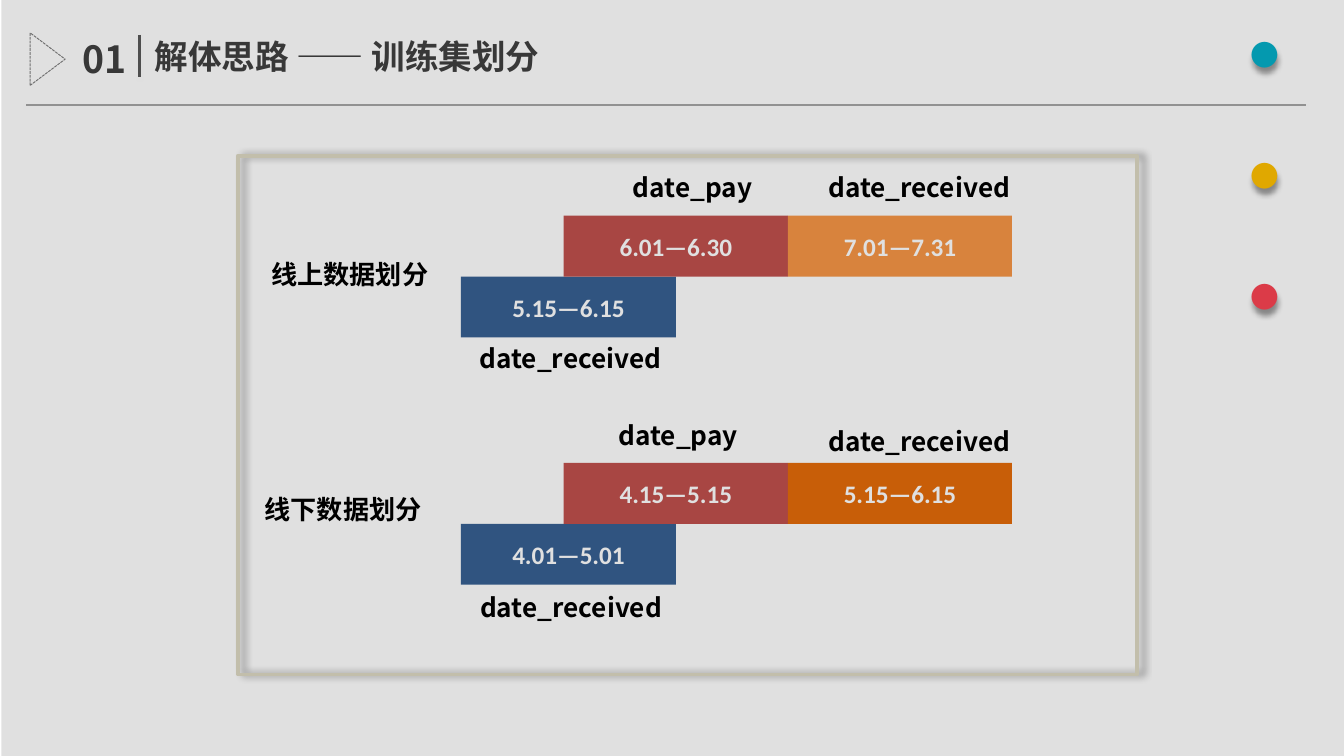
"""Build the slide that shows how the training data is split by date."""
from dataclasses import dataclass
from typing import Any, NamedTuple

from lxml.etree import SubElement
from pptx import Presentation
from pptx.dml.color import RGBColor
from pptx.enum.dml import MSO_LINE
from pptx.enum.shapes import MSO_CONNECTOR, MSO_SHAPE
from pptx.enum.text import MSO_ANCHOR, MSO_AUTO_SIZE, PP_ALIGN
from pptx.oxml.ns import qn
from pptx.util import Inches, Pt

COLS, ROWS = 100, 56.25
CELL = Inches(10) / COLS


@dataclass(frozen=True)
class Theme:
    sans: str = "Noto Sans CJK SC"
    latin: str = "Calibri"
    black: str = "000000"
    white: str = "FFFFFF"
    ink: str = "404040"
    rule: str = "A6A6A6"
    bar: str = "595959"
    edge: str = "808080"
    frame: str = "DDD9C3"
    blue: str = "376092"
    red: str = "C0504D"
    light: str = "F79646"
    deep: str = "E46C0A"
    dots: tuple[str, ...] = ("05AFC8", "FFC000", "FA4453")
    head: float = 18
    number: float = 20
    label: float = 14
    span: float = 13.5
    dot: float = 54


class Box(NamedTuple):
    col: float
    row: float
    wide: float
    high: float


class Run(NamedTuple):
    text: str
    size: float
    color: str
    font: str


class Label(NamedTuple):
    text: str
    col: float
    row: float


class Bar(NamedTuple):
    text: str
    color: str


@dataclass(frozen=True)
class Split:
    top: float
    bars: tuple[Bar, Bar, Bar]
    labels: tuple[Label, ...]


THEME = Theme()
SLOTS = (Box(34.3, 4.53, 16, 4.53), Box(41.94, 0, 16.68, 4.53), Box(58.62, 0, 16.68, 4.53))
SPLITS = (
    Split(16.05,
          (Bar("5.15—6.15", THEME.blue), Bar("6.01—6.30", THEME.red),
           Bar("7.01—7.31", THEME.light)),
          (Label("线上数据划分", 19.2, 2.65), Label("date_pay", 46.1, -3.8),
           Label("date_received", 60.64, -3.8), Label("date_received", 34.7, 8.95))),
    Split(34.45,
          (Bar("4.01—5.01", THEME.blue), Bar("4.15—5.15", THEME.red),
           Bar("5.15—6.15", THEME.deep)),
          (Label("线下数据划分", 18.7, 1.75), Label("date_pay", 45.04, -3.75),
           Label("date_received", 60.64, -3.3), Label("date_received", 34.74, 9.05))),
)


def grid(*cells: float) -> list[int]:
    """Turn grid cells into slide lengths."""
    return [round(cell * CELL) for cell in cells]


def cast(shape: Any, color: str, alpha: int, blur: float, gap: float, angle: int) -> None:
    """Give a shape an outer shadow."""
    props = shape.element.spPr
    found = props.find(qn("a:effectLst"))
    effects = SubElement(props, qn("a:effectLst")) if found is None else found
    shade = SubElement(effects, qn("a:outerShdw"), blurRad=str(Pt(blur)),
                       dist=str(Pt(gap)), dir=str(angle * 60000), rotWithShape="0")
    tint = SubElement(shade, qn("a:srgbClr"), val=color)
    SubElement(tint, qn("a:alpha"), val=str(alpha * 1000))


def write(frame: Any, runs: list[Run], align: PP_ALIGN = PP_ALIGN.LEFT) -> None:
    """Put bold runs into the first paragraph of a text frame."""
    frame.word_wrap = True
    line = frame.paragraphs[0]
    line.alignment = align
    for item in runs:
        run = line.add_run()
        run.text = item.text
        run.font.size = Pt(item.size)
        run.font.bold = True
        run.font.name = item.font
        run.font.color.rgb = RGBColor.from_string(item.color)
        SubElement(run.font._element, qn("a:ea"), typeface=item.font)


def add_text(slide: Any, box: Box, runs: list[Run], align: PP_ALIGN = PP_ALIGN.LEFT) -> Any:
    """Add a text box."""
    shape = slide.shapes.add_textbox(*grid(*box))
    write(shape.text_frame, runs, align)
    if align == PP_ALIGN.LEFT:
        shape.text_frame.margin_right = 0
    return shape


def add_block(slide: Any, kind: MSO_SHAPE, box: Box, fill: str = "",
              edge: str = "", width: float = 0) -> Any:
    """Add a plain shape with an optional fill and outline."""
    shape = slide.shapes.add_shape(kind, *grid(*box))
    shape.shadow.inherit = False
    if fill:
        shape.fill.solid()
        shape.fill.fore_color.rgb = RGBColor.from_string(fill)
    else:
        shape.fill.background()
    if edge:
        shape.line.color.rgb = RGBColor.from_string(edge)
        shape.line.width = Pt(width)
    else:
        shape.line.fill.background()
    return shape


def add_rule(slide: Any, ends: Box, color: str, width: float) -> None:
    """Add a straight line that spans a box."""
    left, top, wide, high = grid(*ends)
    rule = slide.shapes.add_connector(MSO_CONNECTOR.STRAIGHT, left, top, left + wide, top + high)
    rule.line.color.rgb = RGBColor.from_string(color)
    rule.line.width = Pt(width)
    cast(rule, THEME.white, 100, 1, 1, 90)


def add_head(slide: Any) -> None:
    """Add the title, its number, the rules and the dots."""
    title = slide.shapes.title
    title.left, title.top, title.width, title.height = grid(10.5, 2.2, 33.1, 4)
    title.text_frame.vertical_anchor = MSO_ANCHOR.TOP
    title.text_frame.auto_size = MSO_AUTO_SIZE.NONE
    write(title.text_frame, [Run("解体思路 —— 训练集划分", THEME.head, THEME.ink, THEME.sans)])
    add_text(slide, Box(1.8, 2.2, 8.6, 4.4),
             [Run("01", THEME.number, THEME.ink, THEME.sans)], PP_ALIGN.RIGHT)
    add_rule(slide, Box(10.4, 2.6, 0, 3.15), THEME.bar, 1.5)
    add_rule(slide, Box(1.95, 7.82, 95.25, 0), THEME.rule, 0.75)
    arrow = add_block(slide, MSO_SHAPE.FLOWCHART_MERGE, Box(1.6, 3.1, 3.9, 2.6),
                      edge=THEME.edge, width=0.5)
    arrow.rotation = 270
    arrow.line.dash_style = MSO_LINE.SQUARE_DOT
    marks = [Run(mark, THEME.dot, color, THEME.sans)
             for mark, color in zip(("· ", "· ", "·"), THEME.dots)]
    dots = add_text(slide, Box(82.35, -1, 16.5, 10.1), marks, PP_ALIGN.RIGHT)
    dots.text_frame.paragraphs[0].line_spacing = Pt(64.8)
    cast(dots, THEME.black, 40, 3, 3, 90)


def add_split(slide: Any, split: Split) -> None:
    """Add the date bars of one split with their labels."""
    for slot, bar in zip(SLOTS, split.bars):
        block = add_block(slide, MSO_SHAPE.RECTANGLE,
                          slot._replace(row=split.top + slot.row), bar.color)
        block.text_frame.vertical_anchor = MSO_ANCHOR.MIDDLE
        write(block.text_frame, [Run(bar.text, THEME.span, THEME.white, THEME.latin)],
              PP_ALIGN.CENTER)
    for label in split.labels:
        add_text(slide, Box(label.col, split.top + label.row, 15.6, 3.4),
                 [Run(label.text, THEME.label, THEME.black, THEME.sans)])


def main() -> None:
    """Build and save the slide."""
    deck = Presentation()
    deck.slide_width, deck.slide_height = grid(COLS, ROWS)
    slide = deck.slides.add_slide(deck.slide_layouts[5])
    frame = add_block(slide, MSO_SHAPE.RECTANGLE, Box(17.7, 11.6, 66.9, 38.6),
                      edge=THEME.frame, width=2)
    cast(frame, THEME.black, 40, 4, 3, 0)
    add_head(slide)
    for split in SPLITS:
        add_split(slide, split)
    veil = add_block(slide, MSO_SHAPE.RECTANGLE, Box(0.1, 0, COLS - 0.1, ROWS), THEME.black)
    tint = veil.element.spPr.find(".//" + qn("a:srgbClr"))
    SubElement(tint, qn("a:alpha"), val="12000")
    deck.save("out.pptx")


if __name__ == "__main__":
    main()
